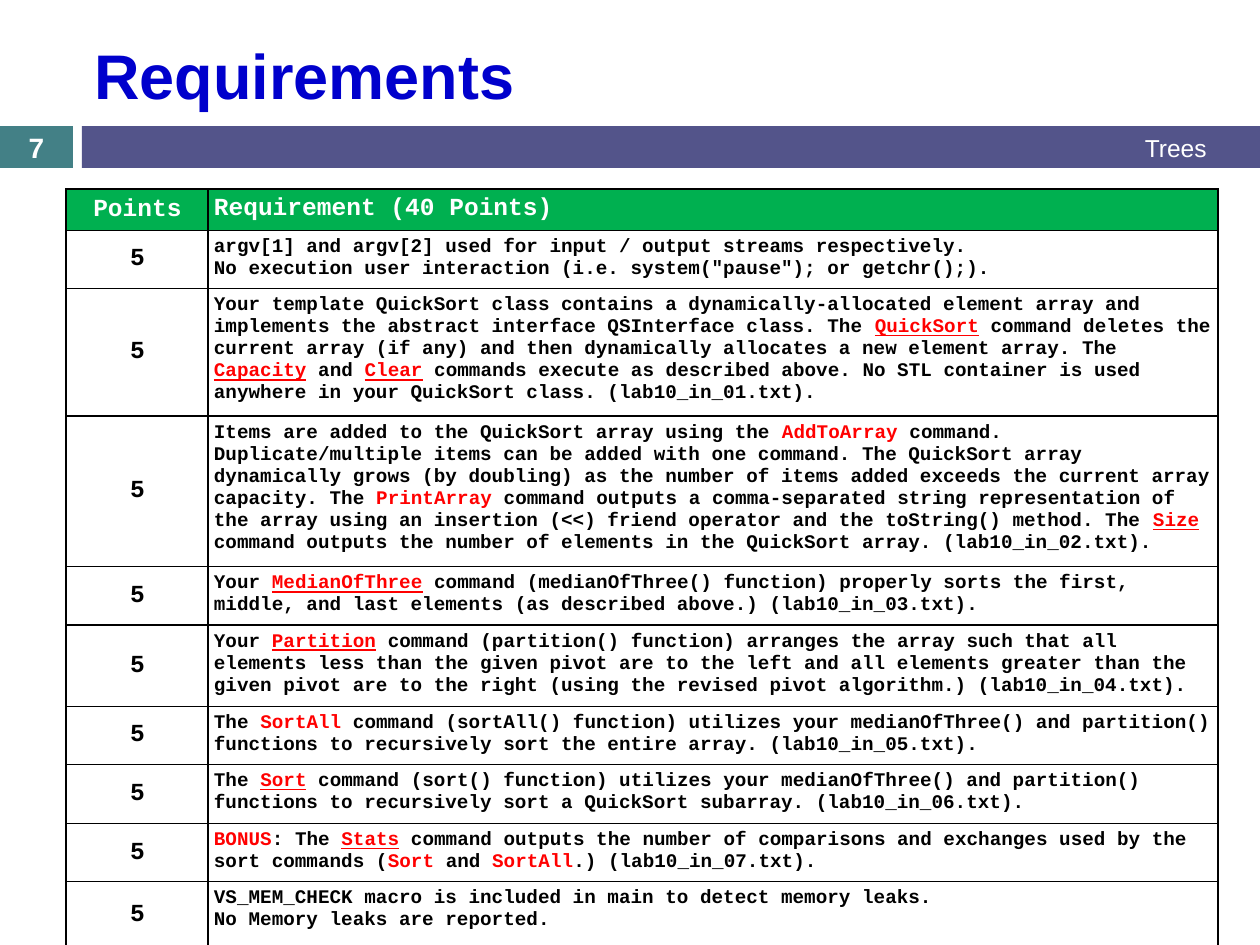
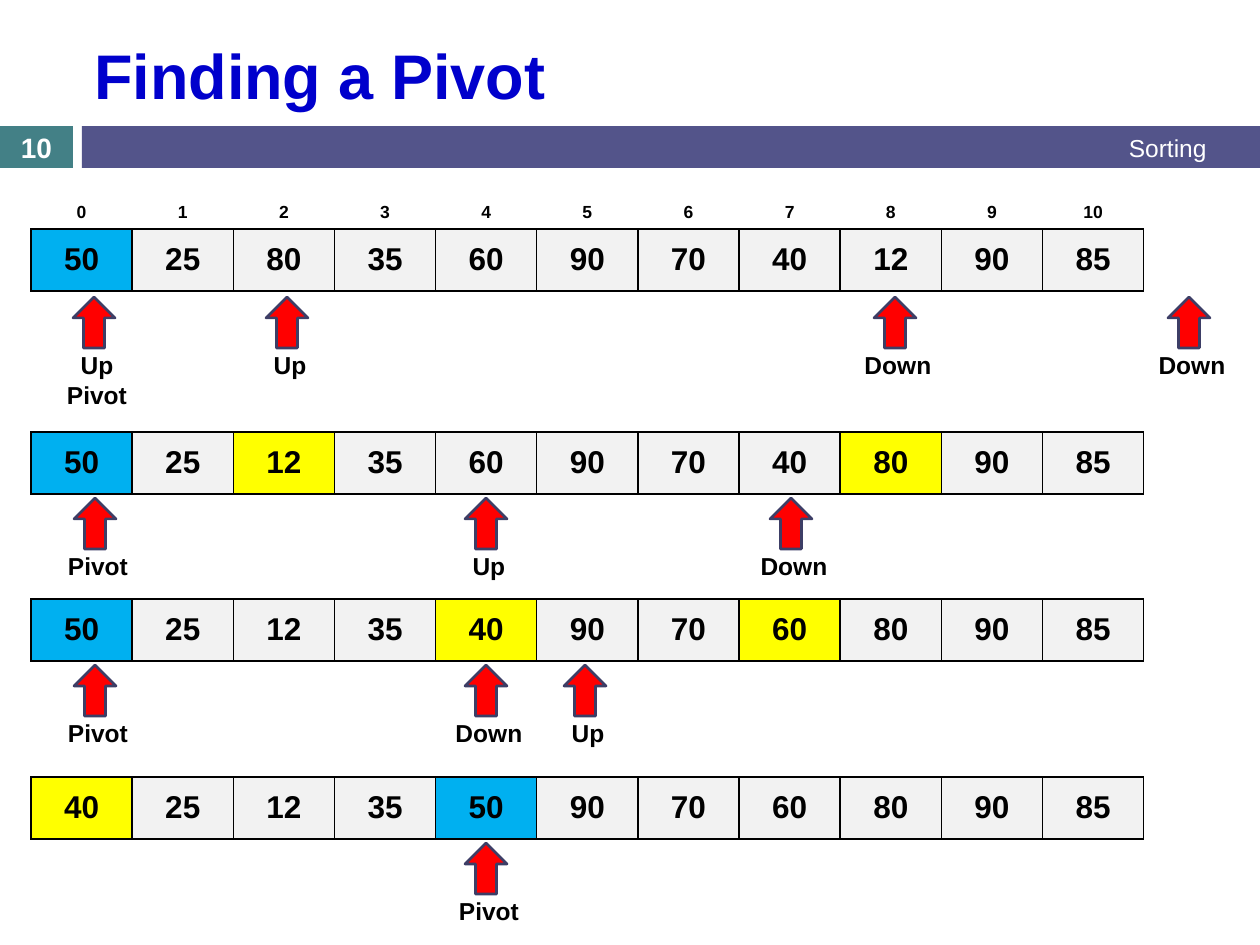
import pptx
import pptx.dml.color
import pptx.enum.shapes
import pptx.enum.text
import pptx.util
from lxml import etree

PX = 914400 / 126
WHITE, BLACK, RED, GREEN = "FFFFFF", "000000", "FF0000", "00B050"
BLUE, YELLOW, GRAY = "00B0F0", "FFFF00", "F2F2F2"
TEAL, INDIGO, TITLE_BLUE, ARROW_LINE = "438086", "53548A", "0000CC", "3D3E66"
NS = "http://schemas.openxmlformats.org/drawingml/2006/main"

ALIGN = pptx.enum.text.PP_ALIGN
ANCHOR = pptx.enum.text.MSO_ANCHOR
SHAPE = pptx.enum.shapes.MSO_SHAPE

TITLE = dict(name="Arial", size=36, bold=True, color=TITLE_BLUE)
TOPIC = dict(name="Arial", size=14, bold=False, color=WHITE)
NUMBER = dict(name="Arial", size=16, bold=True, color=WHITE)
HEADER = dict(name="Courier New", size=14, bold=True, color=WHITE)
POINTS = {**HEADER, "color": BLACK}
REQUIREMENT = {**POINTS, "size": 11}
INDEX = dict(name="Arial", size=10, bold=True, color=BLACK)
VALUE = {**INDEX, "size": 18}
LABEL = {**INDEX, "size": 14}

# *word* is red, *~word* is red and underlined
REQUIREMENTS = [  # row height, points, paragraphs
    (56, 5, ["argv[1] and argv[2] used for input / output streams respectively.",
             'No execution user interaction (i.e. system("pause"); or getchr();).']),
    (123, 5, ["Your template QuickSort class contains a dynamically-allocated element array and "
              "implements the abstract interface QSInterface class. The *~QuickSort* command "
              "deletes the current array (if any) and then dynamically allocates a new element "
              "array. The *~Capacity* and *~Clear* commands execute as described above. No STL "
              "container is used anywhere in your QuickSort class. (lab10_in_01.txt)."]),
    (145, 5, ["Items are added to the QuickSort array using the *AddToArray* command. "
              "Duplicate/multiple items can be added with one command. The QuickSort array "
              "dynamically grows (by doubling) as the number of items added exceeds the current "
              "array capacity. The *PrintArray* command outputs a comma-separated string "
              "representation of the array using an insertion (<<) friend operator and the "
              "toString() method. The *~Size* command outputs the number of elements in the "
              "QuickSort array. (lab10_in_02.txt)."]),
    (57, 5, ["Your *~MedianOfThree* command (medianOfThree() function) properly sorts the first, "
             "middle, and last elements (as described above.) (lab10_in_03.txt)."]),
    (79, 5, ["Your *~Partition* command (partition() function) arranges the array such that all "
             "elements less than the given pivot are to the left and all elements greater than "
             "the given pivot are to the right (using the revised pivot algorithm.) "
             "(lab10_in_04.txt)."]),
    (57, 5, ["The *SortAll* command (sortAll() function) utilizes your medianOfThree() and "
             "partition() functions to recursively sort the entire array. (lab10_in_05.txt)."]),
    (59, 5, ["The *~Sort* command (sort() function) utilizes your medianOfThree() and "
             "partition() functions to recursively sort a QuickSort subarray. "
             "(lab10_in_06.txt)."]),
    (57, 5, ["*BONUS*: The *~Stats* command outputs the number of comparisons and exchanges used "
             "by the sort commands (*Sort* and *SortAll*.) (lab10_in_07.txt)."]),
    (67, 5, ["VS_MEM_CHECK macro is included in main to detect memory leaks.",
             "No Memory leaks are reported."]),
]

PIVOT = 50
STEPS = [  # top of the array, values, swapped positions, top of arrows, (arrow left, labels)
    (229, [50, 25, 80, 35, 60, 90, 70, 40, 12, 90, 85], (), 297,
     [(73, ["Up", "Pivot"]), (1168, ["Down"]), (266, ["Up"]), (874, ["Down"])]),
    (432, [50, 25, 12, 35, 60, 90, 70, 40, 80, 90, 85], (2, 8), 498,
     [(74, ["Pivot"]), (465, ["Up"]), (770, ["Down"])]),
    (599, [50, 25, 12, 35, 40, 90, 70, 60, 80, 90, 85], (4, 7), 665,
     [(74, ["Pivot"]), (564, ["Up"]), (465, ["Down"])]),
    (777, [40, 25, 12, 35, 50, 90, 70, 60, 80, 90, 85], (0, 4), 843,
     [(465, ["Pivot"])]),
]
ARRAY_LEFT, ARRAY_WIDTH, INDEX_HEIGHT, VALUE_HEIGHT = 31, 1113, 50, 62


def emu(*lengths):
    return [pptx.util.Emu(round(length * PX)) for length in lengths]


def rgb(color):
    return pptx.dml.color.RGBColor.from_string(color)


def write(frame, paragraphs, style, align=ALIGN.LEFT):
    """Fill a text frame, turning the red marks into separate runs."""
    for number, text in enumerate(paragraphs):
        para = frame.paragraphs[0] if number == 0 else frame.add_paragraph()
        para.alignment = align
        for part, words in enumerate(text.split("*")):
            if not words:
                continue
            span = para.add_run()
            span.text = words.lstrip("~")
            formats = dict(name=style["name"], size=pptx.util.Pt(style["size"]),
                           bold=style["bold"], underline=words.startswith("~"))
            for key, value in formats.items():
                setattr(span.font, key, value)
            span.font.color.rgb = rgb(RED if part % 2 else style["color"])


def add_text(shapes, place, paragraphs, style, align=ALIGN.LEFT, anchor=ANCHOR.MIDDLE):
    frame = shapes.add_textbox(*emu(*place)).text_frame
    frame.word_wrap = True
    frame.vertical_anchor = anchor
    write(frame, paragraphs, style, align)


def add_shape(shapes, kind, place, fill, line=None):
    shape = shapes.add_shape(kind, *emu(*place))
    shape.shadow.inherit = False
    shape.fill.solid()
    shape.fill.fore_color.rgb = rgb(fill)
    if line:
        shape.line.color.rgb = rgb(line)
        shape.line.width = pptx.util.Pt(1.5)
    else:
        shape.line.fill.background()


def add_page(deck, title, topic, number):
    page = deck.slides.add_slide(deck.slide_layouts[6])
    number_place = (0, 126, 73, 42)
    add_shape(page.shapes, SHAPE.RECTANGLE, number_place, TEAL)
    add_shape(page.shapes, SHAPE.RECTANGLE, (82, 126, 1178, 42), INDIGO)
    add_text(page.shapes, (82, 24, 1124, 101), [title], TITLE)
    add_text(page.shapes, (472, 127, 747, 42), [topic], TOPIC, ALIGN.RIGHT)
    add_text(page.shapes, number_place, [str(number)], NUMBER, ALIGN.CENTER)
    return page


def add_grid(page, left, top, widths, heights):
    table = page.shapes.add_table(len(heights), len(widths),
                                  *emu(left, top, sum(widths), sum(heights))).table
    table.first_row = table.horz_banding = False
    for column, width in zip(table.columns, emu(*widths)):
        column.width = width
    for row, height in zip(table.rows, emu(*heights)):
        row.height = height
    return table


def fill_cell(cell, paragraphs, style, align, anchor, fill=None, margins=None, sides="LRTB"):
    """Write a cell; sides names the borders that are drawn."""
    properties = cell._tc.get_or_add_tcPr()
    for side in "LRTB":
        line = etree.SubElement(properties, f"{{{NS}}}ln{side}", w="12700")
        if side in sides:
            solid = etree.SubElement(line, f"{{{NS}}}solidFill")
            etree.SubElement(solid, f"{{{NS}}}srgbClr", val=BLACK)
        else:
            etree.SubElement(line, f"{{{NS}}}noFill")
    if fill:
        cell.fill.solid()
        cell.fill.fore_color.rgb = rgb(fill)
    else:
        cell.fill.background()
    if margins:
        for side, margin in zip(("left", "top", "right", "bottom"), emu(*margins)):
            setattr(cell, f"margin_{side}", margin)
    cell.vertical_anchor = anchor
    write(cell.text_frame, paragraphs, style, align)


def build_requirements(deck):
    page = add_page(deck, "Requirements", "Trees", 7)
    rows = [(41, "Points", ["Requirement (40 Points)"])] + REQUIREMENTS
    table = add_grid(page, 66, 189, [142, 1010], [row[0] for row in rows])
    for number, (_, points, paragraphs) in enumerate(rows):
        first = number == 0
        fill = GREEN if first else None
        fill_cell(table.cell(number, 0), [str(points)], HEADER if first else POINTS,
                  ALIGN.CENTER, ANCHOR.MIDDLE, fill, (2, 1, 1, 1))
        fill_cell(table.cell(number, 1), paragraphs, HEADER if first else REQUIREMENT,
                  ALIGN.LEFT, ANCHOR.TOP, fill, (6, 6, 6, 6))


def add_marker(page, left, top, labels):
    """Add an up arrow with its labels below, as one group."""
    shapes = page.shapes.add_group_shape().shapes
    add_shape(shapes, SHAPE.UP_ARROW, (left, top, 42, 51), RED, ARROW_LINE)
    add_text(shapes, (left - 34, top + 47, 116, 14 + 29 * len(labels)), labels, LABEL,
             ALIGN.CENTER, ANCHOR.TOP)


def build_pivot(deck):
    page = add_page(deck, "Finding a Pivot", "Sorting", 10)
    for step, (top, values, swapped, arrow_top, markers) in enumerate(STEPS):
        index_rows = [INDEX_HEIGHT] if step == 0 else []
        widths = [ARRAY_WIDTH / len(values)] * len(values)
        table = add_grid(page, ARRAY_LEFT, top - sum(index_rows), widths,
                         index_rows + [VALUE_HEIGHT])
        for column, value in enumerate(values):
            if index_rows:
                fill_cell(table.cell(0, column), [str(column)], INDEX, ALIGN.CENTER,
                          ANCHOR.BOTTOM, WHITE, sides="B")
            fill = BLUE if value == PIVOT else YELLOW if column in swapped else GRAY
            fill_cell(table.cell(len(index_rows), column), [str(value)], VALUE, ALIGN.CENTER,
                      ANCHOR.MIDDLE, fill)
        for left, labels in markers:
            add_marker(page, left, arrow_top, labels)


def main():
    deck = pptx.Presentation()
    deck.slide_width, deck.slide_height = emu(1260, 945)
    build_requirements(deck)
    build_pivot(deck)
    deck.save("out.pptx")


if __name__ == "__main__":
    main()
